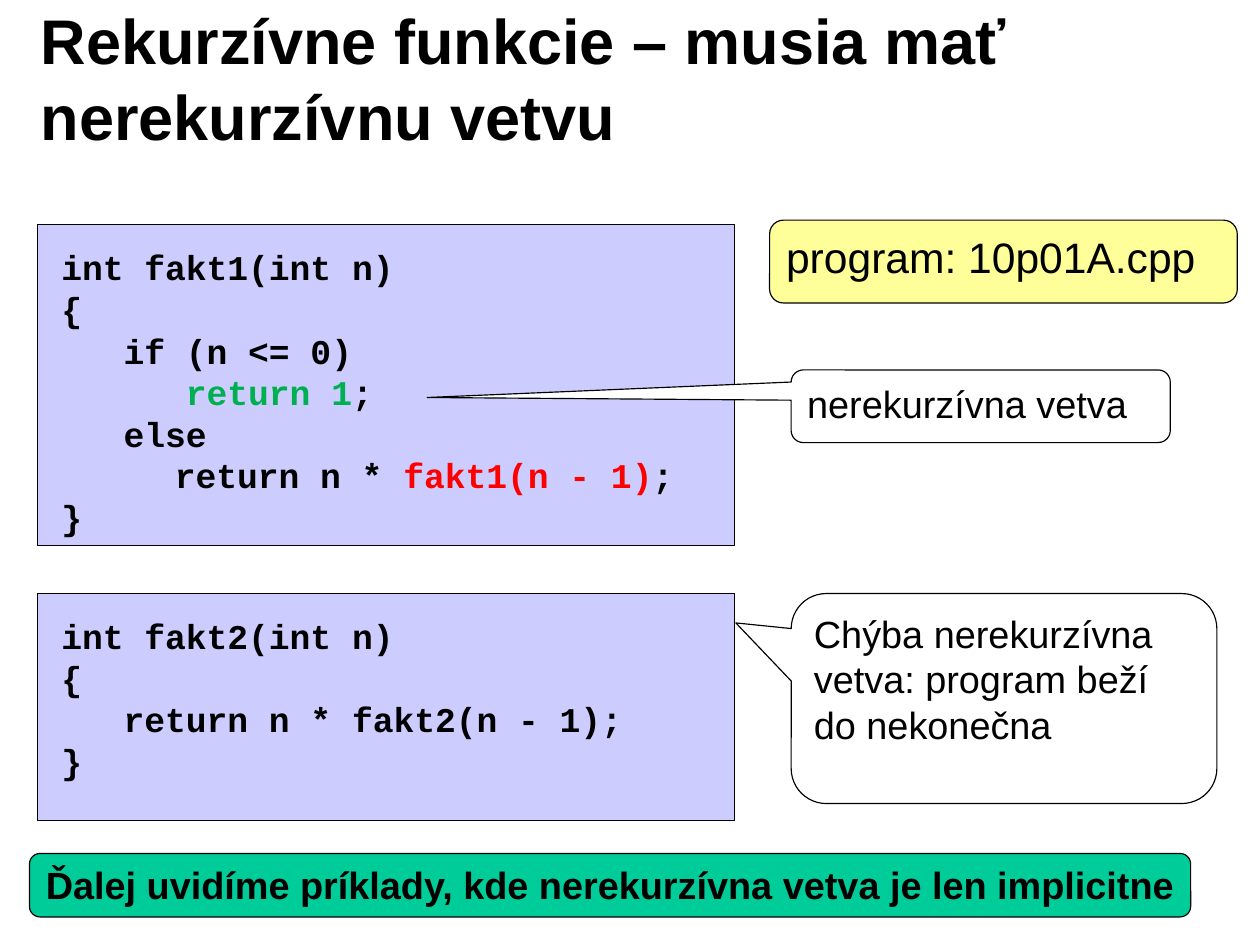
from lxml import etree
from pptx import Presentation
from pptx import util as u
from pptx.dml.color import RGBColor
from pptx.enum import shapes, text
from pptx.oxml.ns import qn

COLORS = {
    "black": "000000", "white": "FFFFFF", "code": "CCCCFF",
    "yellow": "FFFF99", "teal": "00CC99", "base": "00B050", "recursive": "FF0000",
}
FAKT1 = [
    [("int fakt1(int n)", "black")],
    [("{", "black")],
    [("   if (n <= 0)", "black")],
    [("      ", "black"), ("return 1", "base"), (";", "black")],
    [("   else", "black")],
    [("\treturn n * ", "black"), ("fakt1(n - 1)", "recursive"), (";", "black")],
    [("}", "black")],
]
FAKT2 = [[(line, "black")] for line in (
    "int fakt2(int n)", "{", "   return n * fakt2(n - 1);", "}")]


def rgb(name):
    return RGBColor.from_string(COLORS[name])


def inches(box):
    return [u.Inches(v) for v in box]


def set_frame(tf, wrap=True, anchor=text.MSO_ANCHOR.TOP, inset=(0.11, 0.06)):
    tf.word_wrap = wrap
    tf.vertical_anchor = anchor
    tf.margin_left = tf.margin_right = u.Inches(inset[0])
    tf.margin_top = tf.margin_bottom = u.Inches(inset[1])


def set_font(p, size, bold=False, name="Arial"):
    p.font.name = name
    p.font.size = u.Pt(size)
    p.font.bold = bold
    p.font.color.rgb = rgb("black")


def add_panel(s, kind, box, fill, adjustments=()):
    sp = s.shapes.add_shape(kind, *inches(box))
    sp.shadow.inherit = False
    sp.fill.solid()
    sp.fill.fore_color.rgb = rgb(fill)
    sp.line.color.rgb = rgb("black")
    sp.line.width = u.Pt(0.75)
    for i, value in enumerate(adjustments):
        sp.adjustments[i] = value
    return sp


def add_title(s, box, words):
    tf = s.shapes.add_textbox(*inches(box)).text_frame
    set_frame(tf, anchor=text.MSO_ANCHOR.MIDDLE)
    p = tf.paragraphs[0]
    p.text = words
    set_font(p, 40, bold=True)


def add_code(s, box, lines):
    left, top, width, height = box
    add_panel(s, shapes.MSO_SHAPE.RECTANGLE, box, "code")
    inner = (left + 0.1, top + 0.13, width - 0.45, height - 0.13)
    tf = s.shapes.add_textbox(*inches(inner)).text_frame
    set_frame(tf, wrap=False)
    for i, line in enumerate(lines):
        p = tf.add_paragraph() if i else tf.paragraphs[0]
        if line[0][0].startswith("\t"):
            tabs = etree.SubElement(p._p.get_or_add_pPr(), qn("a:tabLst"))
            etree.SubElement(tabs, qn("a:tab"), pos=str(u.Inches(1)), algn="l")
        set_font(p, 22, bold=True, name="Courier New")
        for words, color in line:
            r = p.add_run()
            r.text = words
            r.font.color.rgb = rgb(color)


def add_note(s, box, words, fill="white", size=24, pointer=None):
    kind = shapes.MSO_SHAPE.ROUNDED_RECTANGLE
    if pointer:
        kind = shapes.MSO_SHAPE.ROUNDED_RECTANGULAR_CALLOUT
    sp = add_panel(s, kind, box, fill, (*(pointer or ()), 0.167))
    set_frame(sp.text_frame)
    p = sp.text_frame.paragraphs[0]
    p.text = words
    p.alignment = text.PP_ALIGN.LEFT
    set_font(p, size)


def add_banner(s, box, words):
    sp = add_panel(s, shapes.MSO_SHAPE.ROUNDED_RECTANGLE, box, "teal", (0.167,))
    set_frame(sp.text_frame, wrap=False, inset=(0.1, 0.05))
    p = sp.text_frame.paragraphs[0]
    p.text = words
    p.alignment = text.PP_ALIGN.CENTER
    set_font(p, 24, bold=True)


def main():
    prs = Presentation()
    prs.slide_width, prs.slide_height = u.Inches(11.1), u.Inches(8.3)
    s = prs.slides.add_slide(prs.slide_layouts[6])
    add_title(s, (0.25, 0.17, 8.91, 1.02),
              "Rekurzívne funkcie – musia mať nerekurzívnu vetvu")
    add_code(s, (0.33, 1.98, 6.14, 2.83), FAKT1)
    add_code(s, (0.33, 5.23, 6.14, 2), FAKT2)
    add_note(s, (6.97, 5.23, 3.75, 1.85),
             "Chýba nerekurzívna vetva: program beží do nekonečna",
             pointer=(-0.63, -0.36))
    add_note(s, (6.97, 3.26, 3.34, 0.64), "nerekurzívna vetva",
             pointer=(-1.46, -0.12))
    add_note(s, (6.78, 1.94, 4.12, 0.73), "program: 10p01A.cpp",
             fill="yellow", size=27)
    add_banner(s, (0.26, 7.52, 10.23, 0.56),
               "Ďalej uvidíme príklady, kde nerekurzívna vetva je len implicitne")
    prs.save("out.pptx")


if __name__ == "__main__":
    main()
